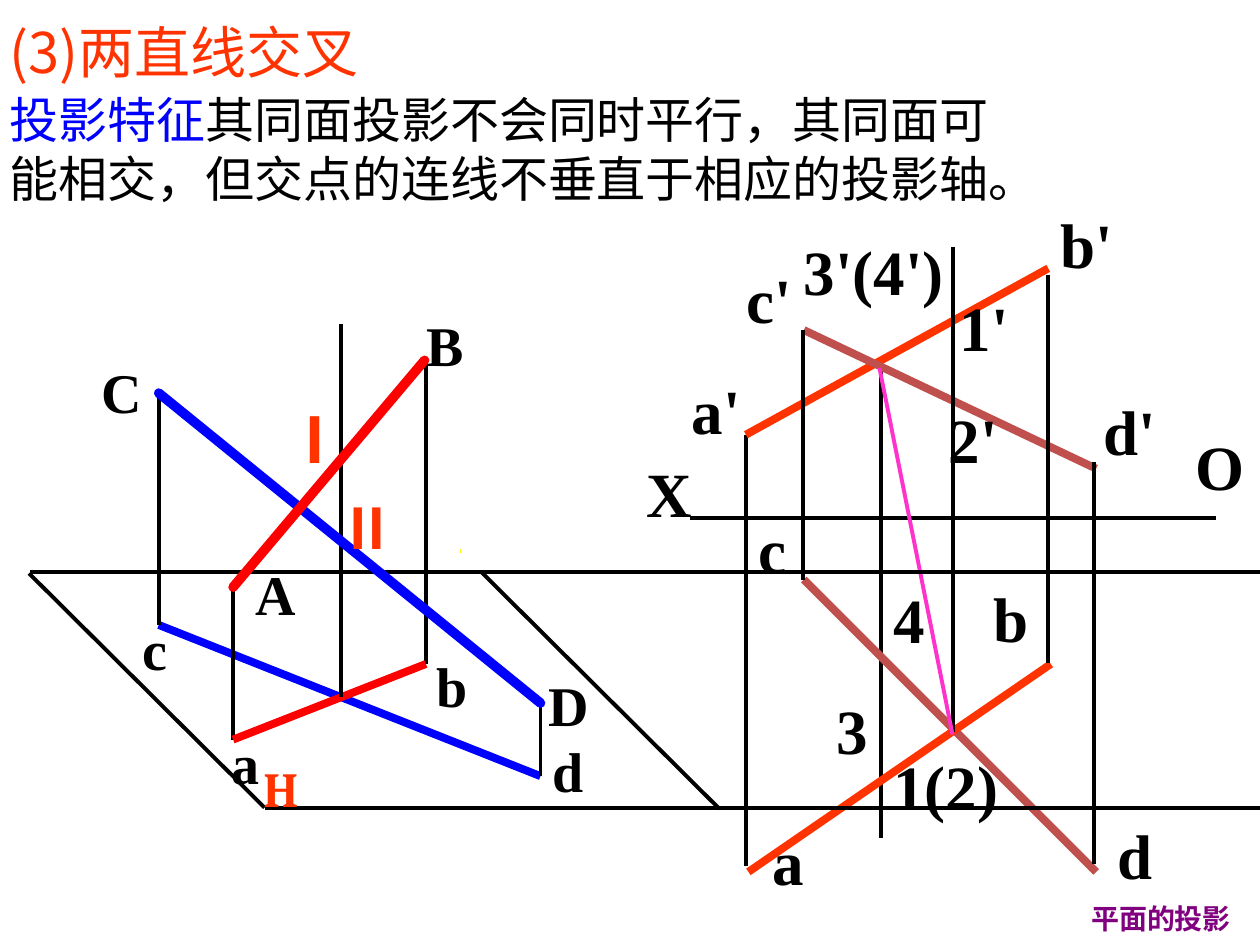
from lxml.etree import SubElement
from pptx import Presentation
from pptx.dml.color import RGBColor
from pptx.enum.shapes import MSO_CONNECTOR
from pptx.enum.text import MSO_ANCHOR, MSO_AUTO_SIZE, PP_ALIGN
from pptx.oxml.ns import qn
from pptx.util import Inches, Pt

SERIF, CJK, CAPTION = "Times New Roman", "Noto Sans CJK SC", "Cambria"
BLACK, BLUE, RED, ORANGE = "000000", "0000FF", "FF0000", "FF3300"
BRICK, PINK, PURPLE, YELLOW = "C0504D", "FF33CC", "800080", "FFFF00"
THIN, THICK, BAR = 2.25, 4.5, 5.5

# start x, start y, end x, end y, colour, width
PROJECTION_LINES = [
    (6.99, 2.9, 6.99, 6.65, BLACK, THIN),
    (5.92, 6.87, 5.92, 3.45, BLACK, THIN),
    (5.92, 3.45, 8.32, 2.13, ORANGE, THICK),
    (6.38, 2.62, 8.7, 3.72, BRICK, THICK),
    (6.38, 4.6, 8.7, 6.92, BRICK, THICK),
    (8.34, 5.27, 5.94, 6.92, ORANGE, THICK),
    (5.48, 4.11, 9.65, 4.11, BLACK, THIN),
    (6.37, 2.62, 6.37, 4.6, BLACK, THIN),
    (8.68, 6.86, 8.68, 3.67, BLACK, THIN),
    (8.32, 2.18, 8.32, 5.26, BLACK, THIN),
    (7.56, 5.81, 7.56, 1.96, BLACK, THIN),
    (6.98, 2.92, 7.56, 5.83, PINK, THIN),
]
SPACE_LINES = [
    (1.26, 4.96, 4.29, 6.16, BLUE, THICK),
    (4.29, 6.16, 4.29, 5.58, BLACK, THIN),
    (1.26, 3.11, 1.26, 4.96, BLACK, THIN),
    (3.38, 5.27, 3.38, 2.85, BLACK, THIN),
    (1.85, 4.67, 1.85, 5.87, BLACK, THIN),
    (1.85, 5.87, 3.38, 5.27, RED, THICK),
    (2.71, 5.53, 2.71, 2.57, BLACK, THIN),
    (0.24, 4.54, 10, 4.54, BLACK, THIN),
    (3.65, 4.37, 3.66, 4.37, YELLOW, THIN),
    (0.23, 4.55, 2.1, 6.41, BLACK, THIN),
    (1.26, 3.12, 4.29, 5.58, BLUE, BAR),
    (1.85, 4.66, 3.37, 2.86, RED, BAR),
    (2.1, 6.41, 10, 6.41, BLACK, THIN),
    (5.71, 6.42, 3.82, 4.54, BLACK, THIN),
]

# text, left, top, width
PROJECTION_LABELS = [
    ("3'(4')", 6.28, 1.8, 1.31), ("4", 6.99, 4.56, 0.45), ("3", 6.54, 5.44, 0.45),
    ("d'", 8.66, 3.07, 0.62), ("c'", 5.83, 2.02, 0.56), ("1'", 7.52, 2.24, 0.59),
    ("b'", 8.32, 1.58, 0.62), ("a'", 5.39, 2.9, 0.59), ("2'", 7.43, 3.13, 0.59),
    ("1(2)", 6.99, 5.88, 1.14), ("c", 5.92, 4, 0.42), ("d", 8.77, 6.43, 0.48),
    ("a", 6.03, 6.48, 0.45), ("b", 7.79, 4.55, 0.48), ("O", 9.39, 3.34, 0.59),
    ("X", 5.03, 3.56, 0.56),
]
SPACE_LABELS = [
    ("A", 1.93, 4.39, 0.52), ("B", 3.28, 2.42, 0.5), ("C", 0.71, 2.79, 0.52),
    ("D", 4.25, 5.27, 0.52), ("c", 1.03, 4.83, 0.4), ("d", 4.28, 5.8, 0.45),
    ("a", 1.74, 5.73, 0.42), ("b", 3.36, 5.12, 0.45),
]
# text, left, top, width, height, size, font, colour
MARKS = [
    ("Ⅰ", 2.18, 3.13, 0.64, 0.7, 36, CJK, ORANGE),
    ("Ⅱ", 2.59, 3.87, 0.65, 0.63, 32, CJK, ORANGE),
    ("H", 1.98, 5.97, 0.5, 0.57, 28, CAPTION, ORANGE),
    ("平面的投影", 8.49, 7.1, 1.45, 0.37, 16, CAPTION, PURPLE),
]


def rgb(value):
    return RGBColor.from_string(value)


def add_line(slide, x1, y1, x2, y2, color, width):
    line = slide.shapes.add_connector(
        MSO_CONNECTOR.STRAIGHT, Inches(x1), Inches(y1), Inches(x2), Inches(y2))
    line.line.color.rgb = rgb(color)
    line.line.width = Pt(width)
    if width == BAR:
        line.line._ln.set("cap", "rnd")
    SubElement(line._element.spPr, qn("a:effectLst"))


def add_frame(slide, left, top, width, height, **frame_format):
    box = slide.shapes.add_textbox(
        Inches(left), Inches(top), Inches(width), Inches(height))
    settings = {"auto_size": MSO_AUTO_SIZE.NONE, "word_wrap": False, **frame_format}
    for name, value in settings.items():
        setattr(box.text_frame, name, value)
    return box.text_frame


def add_run(paragraph, text, size, face, color, bold=False):
    run = paragraph.add_run()
    run.text = text
    for name, value in {"size": Pt(size), "name": face, "bold": bold}.items():
        setattr(run.font, name, value)
    run.font.color.rgb = rgb(color)
    east_asian = SubElement(run._r.get_or_add_rPr(), qn("a:ea"))
    east_asian.set("typeface", CJK)


def add_heading(slide, top, width, height, size, lines):
    """Lines are lists of (text, colour) pieces, set tighter than the font's default."""
    frame = add_frame(slide, -0.02, top, width, height, word_wrap=True,
                      margin_top=Inches(0.1), margin_bottom=0)
    for index, pieces in enumerate(lines):
        paragraph = frame.add_paragraph() if index else frame.paragraphs[0]
        paragraph.line_spacing = Pt(size * 1.2)
        for text, color in pieces:
            add_run(paragraph, text, size, CJK, color)


def add_centred(slide, text, left, top, width, height, size, face, color):
    frame = add_frame(slide, left, top, width, height,
                      vertical_anchor=MSO_ANCHOR.MIDDLE)
    frame.paragraphs[0].alignment = PP_ALIGN.CENTER
    add_run(frame.paragraphs[0], text, size, face, color, bold=True)


def main():
    deck = Presentation()
    deck.slide_width, deck.slide_height = Inches(10), Inches(7.5)
    slide = deck.slides.add_slide(deck.slide_layouts[6])

    add_heading(slide, 0.04, 3.19, 0.63, 32, [[("(3)两直线交叉", ORANGE)]])
    add_heading(slide, 0.61, 10, 1.03, 28, [
        [("投影特征", BLUE), ("其同面投影不会同时平行，其同面可", BLACK)],
        [("能相交，但交点的连线不垂直于相应的投影轴。", BLACK)],
    ])
    for line in PROJECTION_LINES + SPACE_LINES:
        add_line(slide, *line)
    for text, left, top, width in PROJECTION_LABELS:
        frame = add_frame(slide, left, top, width, 0.7)
        add_run(frame.paragraphs[0], text, 36, SERIF, BLACK, bold=True)
    for label in SPACE_LABELS:
        add_centred(slide, *label, 0.63, 32, SERIF, BLACK)
    for mark in MARKS:
        add_centred(slide, *mark)
    deck.save("out.pptx")


if __name__ == "__main__":
    main()
